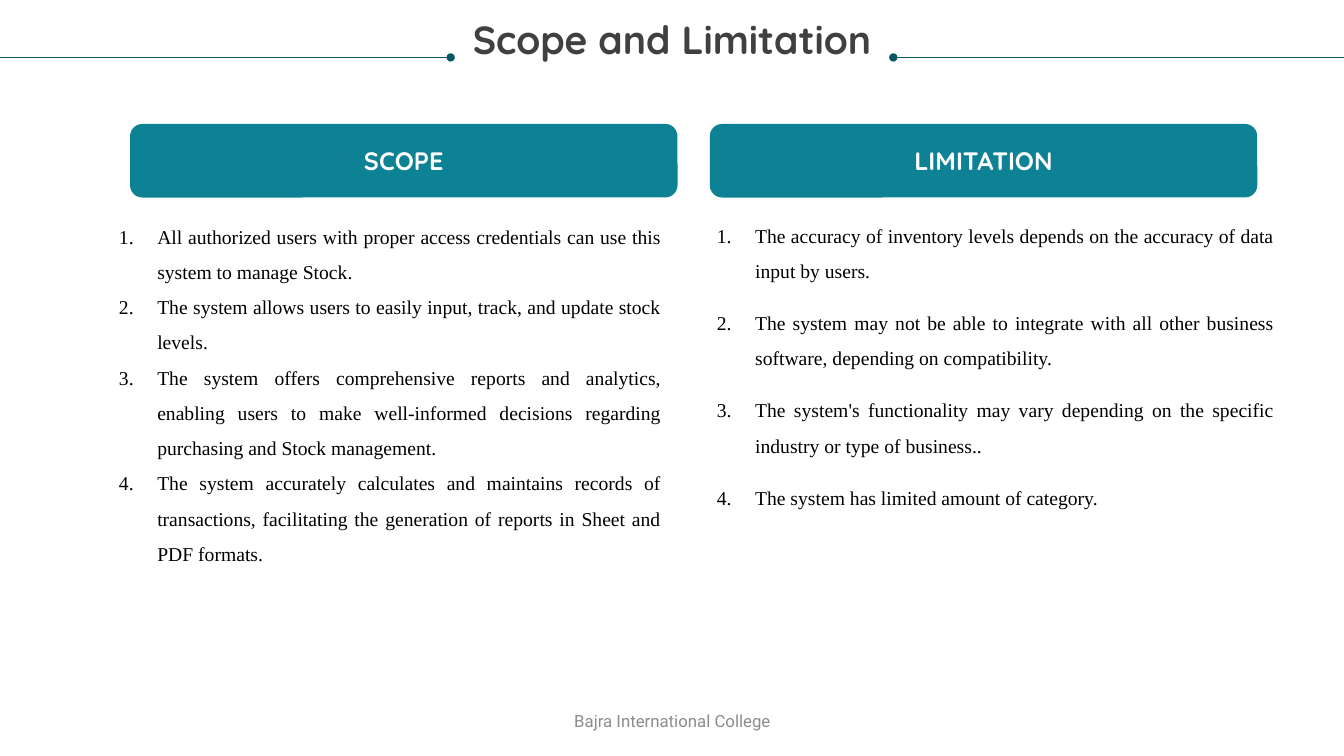
from dataclasses import dataclass

from lxml import etree
from pptx import Presentation
from pptx.dml.color import RGBColor
from pptx.enum.shapes import MSO_CONNECTOR, MSO_SHAPE
from pptx.enum.text import MSO_ANCHOR, PP_ALIGN
from pptx.oxml.ns import qn
from pptx.util import Emu, Inches, Pt

STRAIGHT = MSO_CONNECTOR.STRAIGHT
ROUNDED = MSO_SHAPE.ROUNDED_RECTANGLE
TOP, MIDDLE = MSO_ANCHOR.TOP, MSO_ANCHOR.MIDDLE
CENTER, JUSTIFY = PP_ALIGN.CENTER, PP_ALIGN.JUSTIFY


@dataclass(frozen=True)
class TextStyle:
    font: str
    size: float
    color: str
    bold: bool = False


@dataclass(frozen=True)
class Theme:
    teal: str = "0D8295"
    rule: str = "085764"
    rule_width: float = 0.5
    title: TextStyle = TextStyle("Quicksand", 28, "404040", True)
    header: TextStyle = TextStyle("Quicksand", 18, "FFFFFF", True)
    body: TextStyle = TextStyle("Times New Roman", 14, "000000")
    footer: TextStyle = TextStyle("Roboto", 12, "8C8C8C")


@dataclass(frozen=True)
class Area:
    left: float
    top: float
    width: float
    height: float

    def lengths(self) -> list[Emu]:
        return [Inches(v) for v in (self.left, self.top, self.width, self.height)]


@dataclass(frozen=True)
class Column:
    heading: str
    header_left: float
    list_area: Area
    item_gap: float
    items: tuple[str, ...]


THEME = Theme()
PAGE_WIDTH, PAGE_HEIGHT = 13.33, 7.5
RULE_TOP, RULE_LENGTH = 0.57, 4.47
HEADER_TOP, HEADER_WIDTH, HEADER_HEIGHT = 1.23, 5.43, 0.73
INDENT = 0.38

COLUMNS = (
    Column("SCOPE", 1.29, Area(1.18, 2.11, 5.38, 3.49), 0, (
        "All authorized users with proper access credentials can use this system to manage Stock.",
        "The system allows users to easily input, track, and update stock levels.",
        "The system offers comprehensive reports and analytics, enabling users to make "
        "well-informed decisions regarding purchasing and Stock management.",
        "The system accurately calculates and maintains records of transactions, "
        "facilitating the generation of reports in Sheet and PDF formats.",
    )),
    Column("LIMITATION", 7.04, Area(7.11, 2.1, 5.53, 3.55), 12, (
        "The accuracy of inventory levels depends on the accuracy of data input by users.",
        "The system may not be able to integrate with all other business software, "
        "depending on compatibility.",
        "The system's functionality may vary depending on the specific industry or type of business..",
        "The system has limited amount of category.",
    )),
)


def apply(target, values: dict) -> None:
    for name, value in values.items():
        setattr(target, name, value)


def write(para, text: str, style: TextStyle, layout: dict) -> None:
    apply(para, layout)
    span = para.add_run()
    span.text = text
    apply(span.font, {"name": style.font, "size": Pt(style.size), "bold": style.bold})
    span.font.color.rgb = RGBColor.from_string(style.color)


def add_text_box(page, area: Area, anchor):
    frame = page.shapes.add_textbox(*area.lengths()).text_frame
    apply(frame, {"word_wrap": True, "vertical_anchor": anchor, "margin_left": 0,
                  "margin_right": 0, "margin_top": 0, "margin_bottom": 0})
    return frame


def add_rule(page, outer: float, inner: float) -> None:
    """Line from the page edge to a dot beside the title."""
    top = Inches(RULE_TOP)
    rule = page.shapes.add_connector(STRAIGHT, Inches(outer), top, Inches(inner), top)
    rule.line.color.rgb = RGBColor.from_string(THEME.rule)
    rule.line.width = Pt(THEME.rule_width)
    etree.SubElement(rule.line._get_or_add_ln(), qn("a:tailEnd"), type="oval")
    etree.SubElement(rule._element.spPr, qn("a:effectLst"))


def add_header(page, column: Column) -> None:
    area = Area(column.header_left, HEADER_TOP, HEADER_WIDTH, HEADER_HEIGHT)
    box = page.shapes.add_shape(ROUNDED, *area.lengths())
    box.shadow.inherit = False
    box.fill.solid()
    box.fill.fore_color.rgb = RGBColor.from_string(THEME.teal)
    box.line.fill.background()
    box.text_frame.vertical_anchor = MIDDLE
    write(box.text_frame.paragraphs[0], column.heading, THEME.header, {"alignment": CENTER})


def number(para) -> None:
    properties = para._p.get_or_add_pPr()
    properties.set("marL", str(Inches(INDENT)))
    properties.set("indent", str(-Inches(INDENT)))
    etree.SubElement(properties, qn("a:buFont"), typeface=THEME.body.font)
    etree.SubElement(properties, qn("a:buAutoNum"), type="arabicPeriod")


def add_list(page, column: Column) -> None:
    frame = add_text_box(page, column.list_area, TOP)
    layout = {"alignment": JUSTIFY, "line_spacing": 1.5, "space_after": Pt(column.item_gap)}
    for index, item in enumerate(column.items):
        para = frame.add_paragraph() if index else frame.paragraphs[0]
        number(para)
        write(para, item, THEME.body, layout)


def main() -> None:
    deck = Presentation()
    apply(deck, {"slide_width": Inches(PAGE_WIDTH), "slide_height": Inches(PAGE_HEIGHT)})
    page = deck.slides.add_slide(deck.slide_layouts[6])

    # Title between two dotted rules
    add_rule(page, 0, RULE_LENGTH)
    add_rule(page, PAGE_WIDTH, PAGE_WIDTH - RULE_LENGTH)
    title = add_text_box(page, Area(0.25, 0.2, 12.83, 0.42), TOP)
    write(title.paragraphs[0], "Scope and Limitation", THEME.title,
          {"alignment": CENTER, "line_spacing": 0.9})

    # Headed, numbered columns
    for column in COLUMNS:
        add_header(page, column)
        add_list(page, column)

    # Footer
    footer = add_text_box(page, Area(4.42, 6.95, 4.5, 0.4), MIDDLE)
    write(footer.paragraphs[0], "Bajra International College", THEME.footer,
          {"alignment": CENTER})

    deck.save("out.pptx")


if __name__ == "__main__":
    main()
